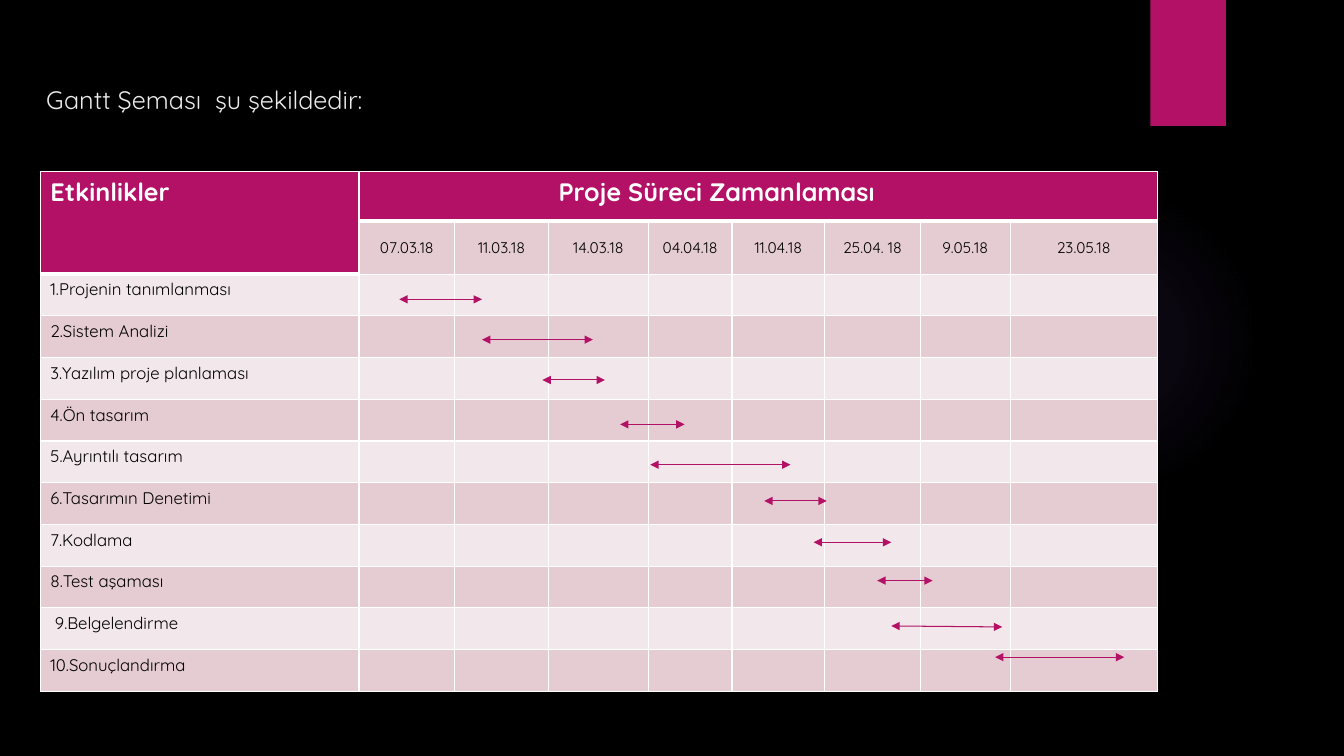
from dataclasses import dataclass

from lxml import etree
from pptx import Presentation
from pptx.dml.color import RGBColor
from pptx.enum.shapes import MSO_CONNECTOR, MSO_SHAPE
from pptx.enum.text import MSO_ANCHOR, PP_ALIGN
from pptx.oxml import parse_xml
from pptx.oxml.ns import qn
from pptx.util import Inches, Pt

RECT, OVAL = MSO_SHAPE.RECTANGLE, MSO_SHAPE.OVAL
LINE = MSO_CONNECTOR.STRAIGHT
LEFT, CENTER = PP_ALIGN.LEFT, PP_ALIGN.CENTER
TOP, MIDDLE = MSO_ANCHOR.TOP, MSO_ANCHOR.MIDDLE
DRAW = "http://schemas.openxmlformats.org/drawingml/2006/main"


@dataclass(frozen=True)
class Theme:
    font: str = "Quicksand"
    back: str = "000000"
    ink: str = "000000"
    pink: str = "B31166"
    glow: str = "9B6BF2"
    title: str = "EBEBEB"
    white: str = "FFFFFF"
    bands: tuple = ("F2E7EA", "E5CCD3")
    big: int = 18
    body: int = 12
    small: int = 11
    thin: float = 1
    thick: float = 3
    arrow: float = 0.75


THEME = Theme()
WIDTHS = (3.16, 0.95, 0.93, 0.99, 0.83, 0.92, 0.95, 0.89, 1.46)
HEADS = (0.49, 0.53)
DATES = ("07.03.18", "11.03.18", "14.03.18", "04.04.18",
         "11.04.18", "25.04. 18", "9.05.18", "23.05.18")
TASKS = ("1.Projenin tanımlanması", "2.Sistem Analizi",
         "3.Yazılım proje planlaması", "4.Ön tasarım",
         "5.Ayrıntılı tasarım", "6.Tasarımın Denetimi", "7.Kodlama",
         "8.Test aşaması", " 9.Belgelendirme", "10.Sonuçlandırma")
SPANS = ((3.56, 1.27, 4.38, 1.27), (4.38, 1.67, 5.48, 1.67),
         (4.98, 2.07, 5.6, 2.07), (5.75, 2.51, 6.39, 2.51),
         (6.05, 2.91, 7.44, 2.91), (7.18, 3.27, 7.8, 3.27),
         (7.67, 3.68, 8.44, 3.68), (8.3, 4.06, 8.85, 4.06),
         (8.44, 4.51, 9.54, 4.52), (9.47, 4.82, 10.75, 4.82))


def color(code):
    return RGBColor.from_string(code)


def write(frame, text, size, code, bold=False, align=LEFT):
    para = frame.paragraphs[0]
    para.text = text
    para.alignment = align
    font = para.font
    font.name, font.size, font.bold = THEME.font, Pt(size), bold
    font.color.rgb = color(code)


def add_decor(slide, glow, tag):
    oval = slide.shapes.add_shape(OVAL, *map(Inches, glow))
    oval.shadow.inherit = False
    oval.line.fill.background()
    stops = "".join(
        f'<a:gs pos="{pos}000"><a:srgbClr val="{THEME.glow}">'
        f'<a:alpha val="{alpha}000"/></a:srgbClr></a:gs>'
        for pos, alpha in ((0, 7), (36, 6), (69, 0), (100, 0)))
    grad = parse_xml(
        f'<a:gradFill xmlns:a="{DRAW}"><a:gsLst>{stops}</a:gsLst>'
        '<a:path path="circle"><a:fillToRect l="50000" t="50000" '
        'r="50000" b="50000"/></a:path></a:gradFill>')
    oval._element.spPr.find(qn("a:prstGeom")).addnext(grad)

    rect = slide.shapes.add_shape(RECT, *map(Inches, tag))
    rect.shadow.inherit = False
    rect.fill.solid()
    rect.fill.fore_color.rgb = color(THEME.pink)
    rect.line.fill.background()


def add_title(slide, box):
    frame = slide.shapes.add_textbox(*map(Inches, box)).text_frame
    frame.word_wrap = True
    write(frame, "Gantt Şeması  şu şekildedir:", THEME.big, THEME.title)


def set_edges(cell, sides):
    props = cell._tc.get_or_add_tcPr()
    for side, width in sides:
        edge = etree.SubElement(props, qn(f"a:ln{side}"), w=str(Pt(width)))
        fill = etree.SubElement(edge, qn("a:solidFill"))
        etree.SubElement(fill, qn("a:srgbClr"), val=THEME.white)


def style_cell(cell, row, col):
    top = row == 0 or (row == 1 and col == 0)
    sides = [("L", THEME.thin), ("R", THEME.thin)]
    if row == 0:
        sides.append(("T", THEME.thin))
    sides.append(("B", THEME.thick if top else THEME.thin))
    set_edges(cell, sides)
    cell.fill.solid()
    cell.fill.fore_color.rgb = color(THEME.pink if top else THEME.bands[row % 2])
    cell.vertical_anchor = MIDDLE if row == 1 and col else TOP


def add_table(slide, box):
    count = len(HEADS) + len(TASKS)
    table = slide.shapes.add_table(
        count, len(WIDTHS), *map(Inches, box)).table
    table.first_row = table.horz_banding = False
    for col, width in zip(table.columns, WIDTHS):
        col.width = Inches(width)
    step = (box[3] - sum(HEADS)) / len(TASKS)
    for row, height in zip(table.rows, HEADS + (step,) * len(TASKS)):
        row.height = Inches(height)
    for row in range(count):
        for col in range(len(WIDTHS)):
            style_cell(table.cell(row, col), row, col)

    first, head = table.cell(0, 0), table.cell(0, 1)
    first.merge(table.cell(1, 0))
    head.merge(table.cell(0, len(DATES)))
    head.margin_left = Inches(1.98)
    for cell, text in ((first, "Etkinlikler"),
                       (head, "Proje Süreci Zamanlaması")):
        write(cell.text_frame, text, THEME.big, THEME.white, bold=True)
    for col, date in enumerate(DATES, 1):
        write(table.cell(1, col).text_frame, date, THEME.small, THEME.ink,
              align=CENTER)
    for row, task in enumerate(TASKS, len(HEADS)):
        write(table.cell(row, 0).text_frame, task, THEME.body, THEME.ink)


def add_spans(slide, box):
    left, top = box[:2]
    for x1, y1, x2, y2 in SPANS:
        ends = (left + x1, top + y1, left + x2, top + y2)
        arrow = slide.shapes.add_connector(LINE, *map(Inches, ends))
        arrow.line.width = Pt(THEME.arrow)
        arrow.line.color.rgb = color(THEME.pink)
        line = arrow.line._get_or_add_ln()
        for end in ("a:headEnd", "a:tailEnd"):
            etree.SubElement(line, qn(end), type="triangle")
        etree.SubElement(arrow._element.spPr, qn("a:effectLst"))


def add_gantt(slide, box):
    add_table(slide, box)
    add_spans(slide, box)


def main():
    deck = Presentation()
    deck.slide_width, deck.slide_height = Inches(13.33), Inches(7.5)
    slide = deck.slides.add_slide(deck.slide_layouts[6])
    fill = slide.background.fill
    fill.solid()
    fill.fore_color.rgb = color(THEME.back)
    add_decor(slide, (9.41, 1.83, 3.08, 3.08), (11.41, 0, 0.75, 1.25))
    add_title(slide, (0.36, 0.79, 10.29, 0.42))
    add_gantt(slide, (0.4, 1.7, 11.08, 5.16))
    deck.save("out.pptx")


if __name__ == "__main__":
    main()
